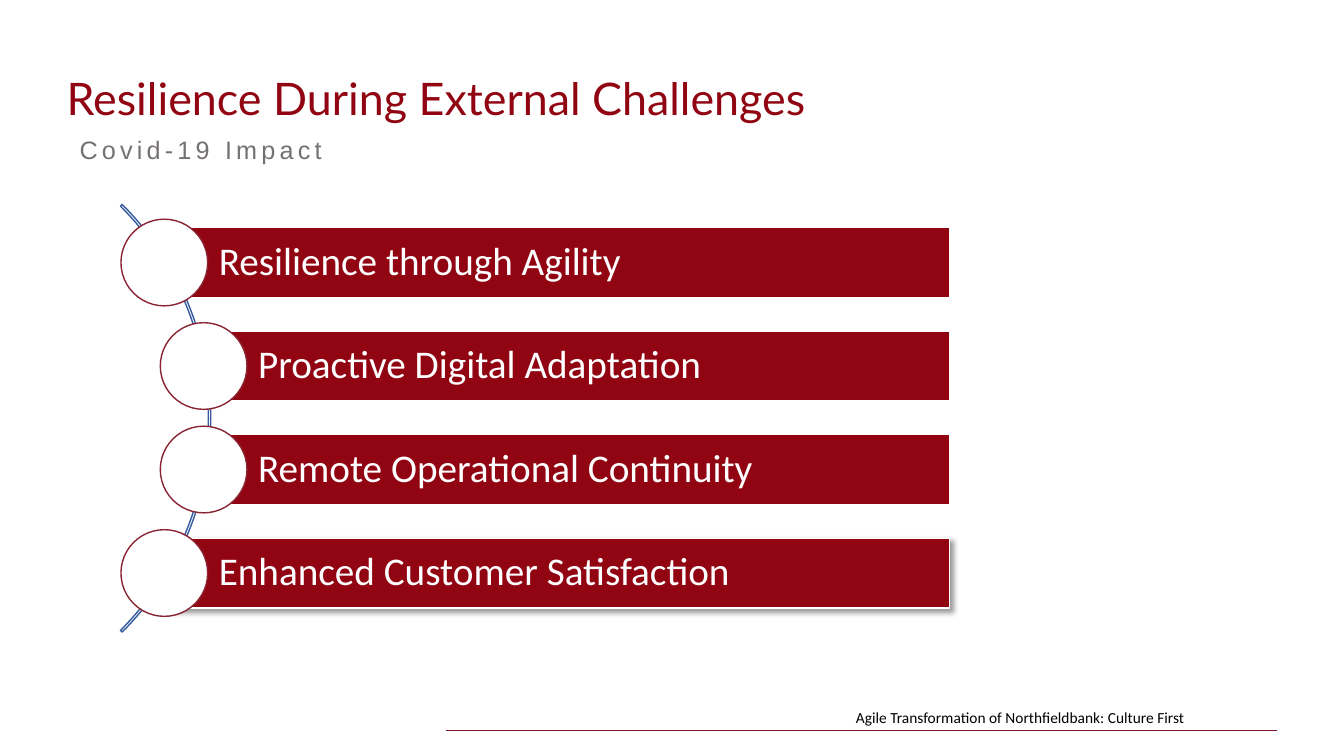
from lxml import etree
from pptx import Presentation
from pptx.dml.color import RGBColor
from pptx.enum.shapes import MSO_CONNECTOR, MSO_SHAPE
from pptx.enum.text import MSO_ANCHOR, MSO_AUTO_SIZE, PP_ALIGN
from pptx.oxml import parse_xml
from pptx.oxml.ns import nsdecls, qn
from pptx.util import Inches, Pt

RECTANGLE, OVAL, BLOCK_ARC = MSO_SHAPE.RECTANGLE, MSO_SHAPE.OVAL, MSO_SHAPE.BLOCK_ARC
STRAIGHT = MSO_CONNECTOR.STRAIGHT
TOP, MIDDLE = MSO_ANCHOR.TOP, MSO_ANCHOR.MIDDLE
LEFT, NO_FIT = PP_ALIGN.LEFT, MSO_AUTO_SIZE.NONE

COLORS = {
    "red": "910513",
    "ring": "8A2332",
    "rule": "7D172C",
    "arc": "365B9D",
    "gray": "767171",
    "black": "000000",
    "white": "FFFFFF",
}
INSETS = (0.1, 0.05, 0.1, 0.05)
BAR_INSETS = (0.54, 0.08, 0.08, 0.08)

BARS = [
    ("Resilience through Agility", 1.63),
    ("Proactive Digital Adaptation", 2.02),
    ("Remote Operational Continuity", 2.02),
    ("Enhanced Customer Satisfaction", 1.63),
]
BAR_RIGHT, BAR_HEIGHT, CIRCLE = 9.42, 0.69, 0.86
FIRST_TOP, LAST_TOP = 2.26, 5.34


def color(name):
    return RGBColor.from_string(COLORS[name])


class SlideBuilder:
    def __init__(self, slide):
        self.slide = slide

    def set_text(self, shape, text, size, font, ink, anchor=TOP, insets=INSETS,
                 line_spacing=0.9, tracking=0, wrap=True):
        """Fill a shape with one formatted paragraph; tracking is in points."""
        frame = shape.text_frame
        sides = ("margin_left", "margin_top", "margin_right", "margin_bottom")
        frame_format = {"auto_size": NO_FIT, "word_wrap": wrap, "vertical_anchor": anchor,
                        **dict(zip(sides, map(Inches, insets)))}
        paragraph = frame.paragraphs[0]
        run = paragraph.add_run()
        run.text = text
        formats = [
            (frame, frame_format),
            (paragraph, {"alignment": LEFT, "line_spacing": line_spacing, "space_before": Pt(0)}),
            (run.font, {"size": Pt(size), "name": font}),
        ]
        for target, values in formats:
            for name, value in values.items():
                setattr(target, name, value)
        run.font.color.rgb = color(ink)
        if tracking:
            run._r.get_or_add_rPr().set("spc", str(tracking * 100))

    def title(self, text, box, **style):
        shape = self.slide.shapes.title
        for name, value in zip(("left", "top", "width", "height"), box):
            setattr(shape, name, Inches(value))
        self.set_text(shape, text, **style)

    def text(self, text, box, **style):
        self.set_text(self.slide.shapes.add_textbox(*map(Inches, box)), text, **style)

    def shape(self, kind, box, line, fill=None):
        shape = self.slide.shapes.add_shape(kind, *map(Inches, box))
        shape.shadow.inherit = False
        if fill:
            shape.fill.solid()
            shape.fill.fore_color.rgb = color(fill)
        else:
            shape.fill.background()
        shape.line.color.rgb = color(line)
        shape.line.width = Pt(1)
        return shape

    def line(self, start, end, ink, width):
        connector = self.slide.shapes.add_connector(STRAIGHT, *map(Inches, start + end))
        connector.line.color.rgb = color(ink)
        connector.line.width = Pt(width)
        etree.SubElement(connector._element.spPr, qn("a:effectLst"))

    def drop_shadow(self, shape):
        effects = shape._element.spPr.find(qn("a:effectLst"))
        effects.append(parse_xml(
            f'<a:outerShdw {nsdecls("a")} blurRad="{Pt(4)}" dist="{Pt(3)}" dir="2700000" '
            f'algn="tl" rotWithShape="0"><a:srgbClr val="{COLORS["black"]}">'
            '<a:alpha val="40000"/></a:srgbClr></a:outerShdw>'))

    def bar(self, text, left, top):
        """Add a labelled bar with a circle centred on its left edge."""
        bar = self.shape(RECTANGLE, (left, top, BAR_RIGHT - left, BAR_HEIGHT), "white", "red")
        self.set_text(bar, text, 28, "Calibri", "white", MIDDLE, BAR_INSETS)
        circle_top = top + (BAR_HEIGHT - CIRCLE) / 2
        self.shape(OVAL, (left - CIRCLE / 2, circle_top, CIRCLE, CIRCLE), "ring", "white")
        return bar


def main():
    presentation = Presentation()
    presentation.slide_width, presentation.slide_height = Inches(13.33), Inches(7.5)
    slide = presentation.slides.add_slide(presentation.slide_layouts[5])
    builder = SlideBuilder(slide)

    builder.line((12.67, 7.25), (4.42, 7.25), "rule", 0.5)
    builder.text("Agile Transformation of Northfieldbank: Culture First", (8.39, 6.98, 3.71, 0.29),
                 size=11, font="Calibri", ink="black", line_spacing=1, wrap=False)
    builder.title("Resilience During External Challenges", (0.56, 0.71, 8.55, 0.6),
                  size=32, font="Lato", ink="red")
    builder.text("Covid-19 Impact", (0.69, 1.32, 6.85, 0.47),
                 size=18, font="Arial", ink="gray", tracking=3)

    arc = builder.shape(BLOCK_ARC, (-3.91, 1.15, 6, 6), "arc")
    for index, value in enumerate((189, 27, 0.004)):
        arc.adjustments[index] = value

    pitch = (LAST_TOP - FIRST_TOP) / (len(BARS) - 1)
    for index, (text, left) in enumerate(BARS):
        bar = builder.bar(text, left, FIRST_TOP + index * pitch)
    builder.drop_shadow(bar)

    presentation.save("out.pptx")


if __name__ == "__main__":
    main()
